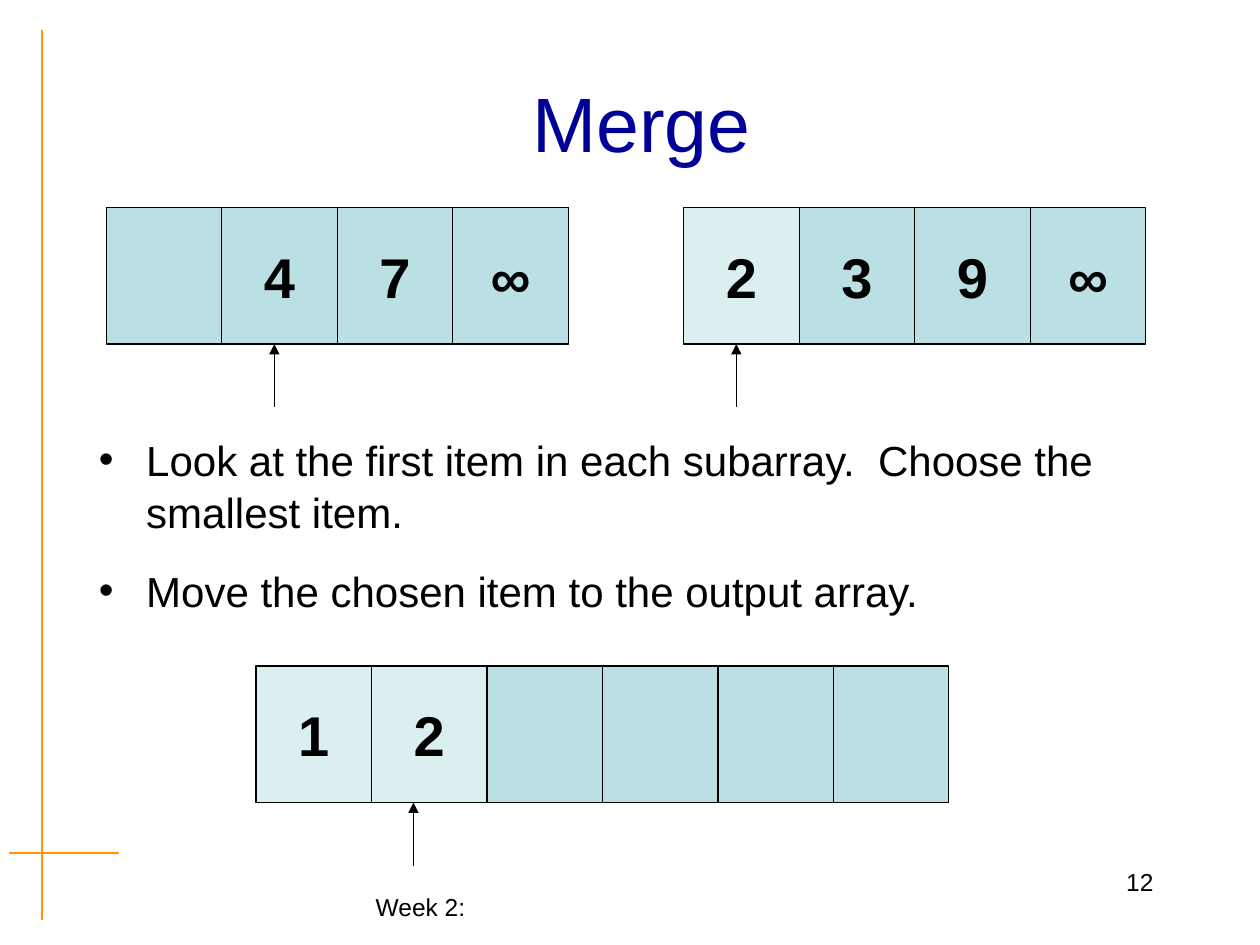
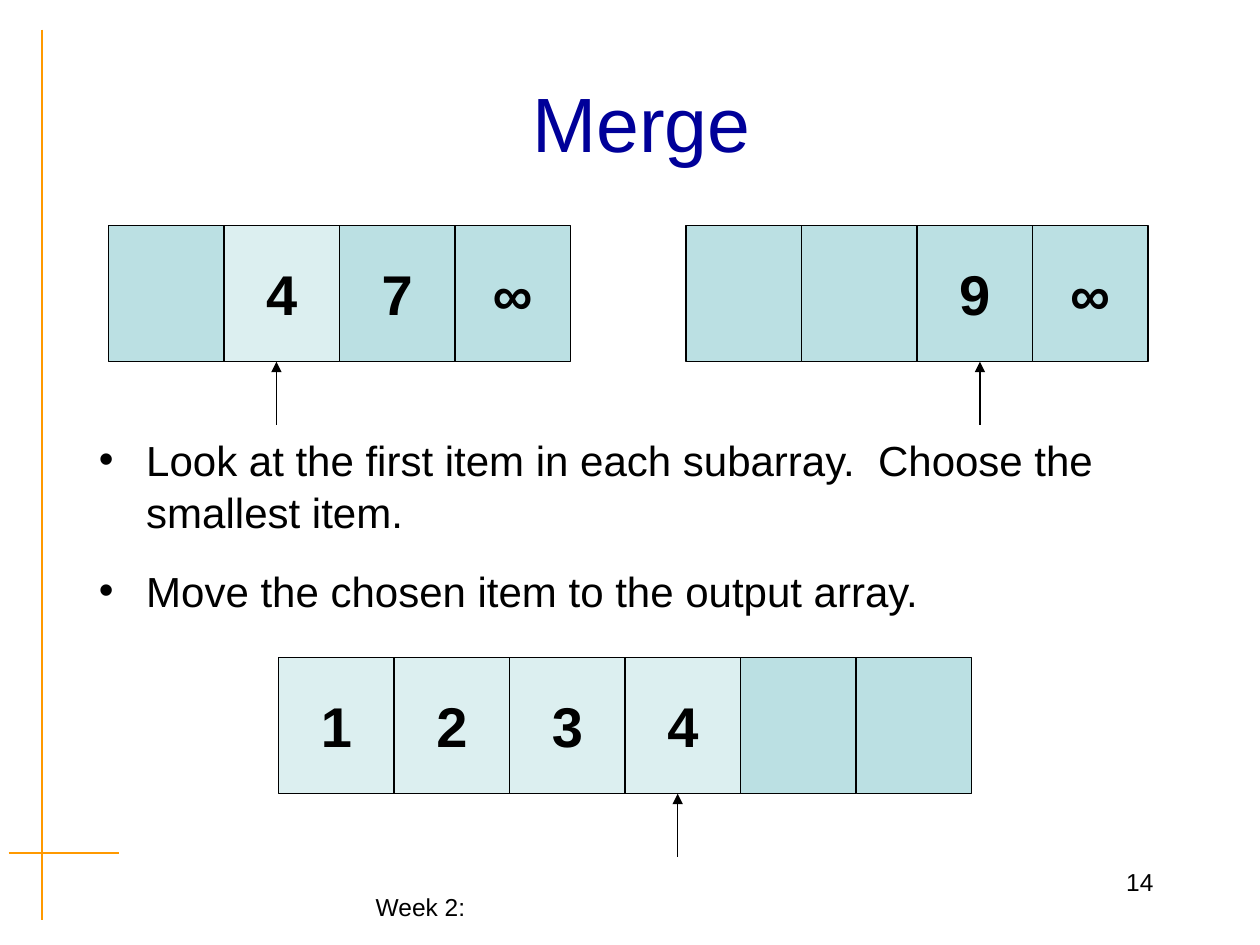
from lxml.etree import SubElement
from pptx import Presentation
from pptx.dml.color import RGBColor
from pptx.enum.shapes import MSO_CONNECTOR, MSO_SHAPE
from pptx.enum.text import MSO_ANCHOR, PP_ALIGN
from pptx.oxml.ns import qn
from pptx.util import Pt

FONT = "Arial"
BLACK, NAVY, ORANGE, TEAL = "000000", "000099", "FF9900", "BBE0E3"
CELL_WIDTH, CELL_HEIGHT = 66, 78
SUBARRAY_STEP = 5 * CELL_WIDTH
ARROW_LENGTH = 36
INDENT = 27

TITLE = {"size": 44, "color": NAVY, "align": PP_ALIGN.CENTER, "anchor": MSO_ANCHOR.MIDDLE}
FOOTER = {"size": 14, "align": PP_ALIGN.CENTER}
PAGE_NUMBER = {"size": 14, "align": PP_ALIGN.RIGHT}
CELL = {"size": 32, "bold": True, "align": PP_ALIGN.CENTER,
        "anchor": MSO_ANCHOR.MIDDLE, "wrap": False}
STEPS = {"size": 24, "bullet": "•", "space_before": 15, "line_spacing": 1.04}

STEP_TEXTS = [
    "Look at the first item in each subarray.  Choose the smallest item.",
    "Move the chosen item to the output array.",
]

# Cells are one character each, with a space for an empty cell.
# Each arrow is (cell index, offset from the left side of that cell).
SLIDES = [
    {
        "number": "12",
        "rows": [
            {"left": 60.75, "top": 118.6, "cells": " 47∞", "chosen": [], "arrow": (1, 30)},
            {"left": 60.75 + SUBARRAY_STEP, "top": 118.6, "cells": "239∞",
             "chosen": [0], "arrow": (0, 30)},
            {"left": 146.25, "top": 380.6, "cells": "12    ",
             "chosen": [0, 1], "arrow": (1, 24)},
        ],
    },
    {
        "number": "14",
        "rows": [
            {"left": 62, "top": 128.75, "cells": " 47∞", "chosen": [1], "arrow": (1, 30)},
            {"left": 62 + SUBARRAY_STEP, "top": 128.75, "cells": "  9∞",
             "chosen": [], "arrow": (2, 36)},
            {"left": 159.25, "top": 375.6, "cells": "1234  ",
             "chosen": [0, 1, 2, 3], "arrow": (3, 30)},
        ],
    },
]


def color(hex_value):
    return RGBColor.from_string(hex_value)


def add_bullet(paragraph, character):
    properties = paragraph._p.get_or_add_pPr()
    properties.set("marL", str(Pt(INDENT)))
    properties.set("indent", str(-Pt(INDENT)))
    SubElement(properties, qn("a:buFont"), typeface=FONT)
    SubElement(properties, qn("a:buChar"), char=character)


def write_text(shape, texts, style):
    """Fill a shape with one paragraph per text, formatted by a style dict."""
    frame = shape.text_frame
    frame.word_wrap = style.get("wrap", True)
    frame.vertical_anchor = style.get("anchor", MSO_ANCHOR.TOP)
    for index, text in enumerate(texts):
        paragraph = frame.add_paragraph() if index else frame.paragraphs[0]
        paragraph.text = text
        paragraph.alignment = style.get("align", PP_ALIGN.LEFT)
        if "line_spacing" in style:
            paragraph.line_spacing = style["line_spacing"]
        if index and "space_before" in style:
            paragraph.space_before = Pt(style["space_before"])
        if "bullet" in style:
            add_bullet(paragraph, style["bullet"])
        font_values = {"name": FONT, "size": Pt(style["size"]), "bold": style.get("bold", False)}
        for run in paragraph.runs:
            for name, value in font_values.items():
                setattr(run.font, name, value)
            run.font.color.rgb = color(style.get("color", BLACK))


def add_text(slide, box, texts, style):
    write_text(slide.shapes.add_textbox(*map(Pt, box)), texts, style)


def add_line(slide, start, end, line_color, width, arrow=False):
    connector = slide.shapes.add_connector(
        MSO_CONNECTOR.STRAIGHT, *map(Pt, start + end))
    connector.line.color.rgb = color(line_color)
    connector.line.width = Pt(width)
    if arrow:
        SubElement(connector.line._get_or_add_ln(), qn("a:tailEnd"),
                   type="triangle", w="med", len="med")
    SubElement(connector._element.spPr, qn("a:effectLst"))


def add_cell(slide, left, top, value, chosen):
    cell = slide.shapes.add_shape(
        MSO_SHAPE.RECTANGLE, *map(Pt, (left, top, CELL_WIDTH, CELL_HEIGHT)))
    cell.shadow.inherit = False
    cell.fill.solid()
    cell.fill.fore_color.rgb = color(TEAL)
    cell.line.color.rgb = color(BLACK)
    cell.line.width = Pt(0.75)
    if chosen:
        fill_color = cell._element.spPr.find(qn("a:solidFill"))[0]
        SubElement(fill_color, qn("a:alpha"), val="50000")
    if value.strip():
        write_text(cell, [value], CELL)


def add_array(slide, left, top, cells, chosen, arrow):
    """Draw a row of cells with an arrow pointing up at the current one."""
    for index, value in enumerate(cells):
        add_cell(slide, left + index * CELL_WIDTH, top, value, index in chosen)
    arrow_index, offset = arrow
    x = left + arrow_index * CELL_WIDTH + offset
    bottom = top + CELL_HEIGHT
    add_line(slide, (x, bottom + ARROW_LENGTH), (x, bottom), BLACK, 0.75, arrow=True)


def add_frame(slide, number):
    """Add the crossing lines, footer, page number and title of every slide."""
    add_line(slide, (24, 17), (24, 525.5), ORANGE, 1.19)
    add_line(slide, (5, 487.5), (68, 487.5), ORANGE, 1.19)
    add_text(slide, (63.5, 506.25, 353.5, 24.5), ["Week 2:"], FOOTER)
    add_text(slide, (516.25, 492, 150, 36), [number], PAGE_NUMBER)
    add_text(slide, (60.5, 24.5, 612, 90), ["Merge"], TITLE)


def main():
    presentation = Presentation()
    presentation.slide_width = Pt(720)
    presentation.slide_height = Pt(540)
    for content in SLIDES:
        slide = presentation.slides.add_slide(presentation.slide_layouts[6])
        add_frame(slide, content["number"])
        add_text(slide, (49.5, 243.5, 612, 121.5), STEP_TEXTS, STEPS)
        for row in content["rows"]:
            add_array(slide, **row)
    presentation.save("out.pptx")


if __name__ == "__main__":
    main()
